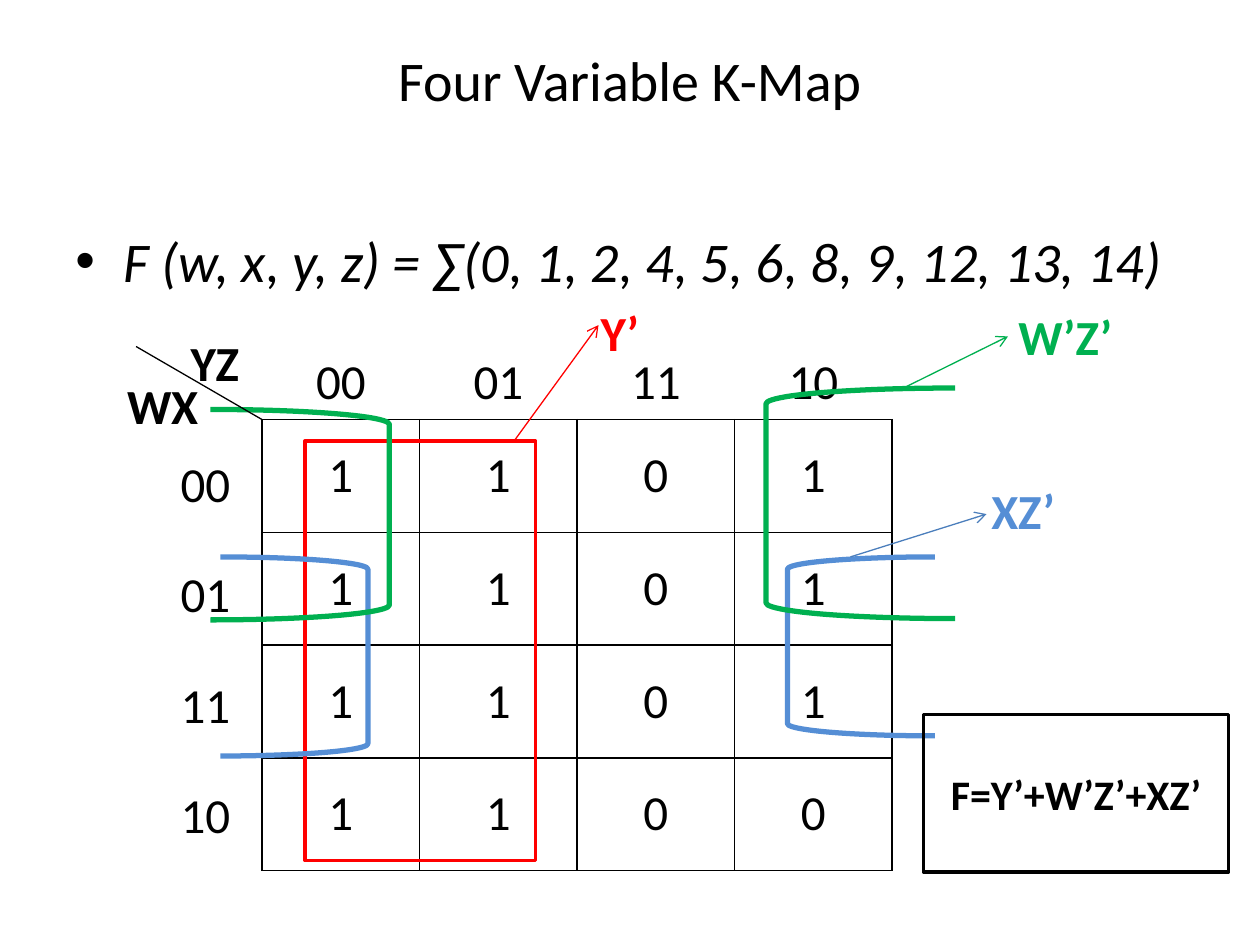
from lxml.etree import SubElement
from pptx import Presentation
from pptx.dml.color import RGBColor
from pptx.enum.shapes import MSO_CONNECTOR, MSO_SHAPE as SHAPE
from pptx.enum.text import MSO_ANCHOR as ANCHOR, PP_ALIGN as ALIGN
from pptx.oxml.ns import qn
from pptx.util import Inches, Pt

BLACK, RED, GREEN, BLUE = "000000", "FF0000", "00B050", "558ED5"
NO_STYLE = "{2D5ABB26-0587-4C30-8999-92F81FD0307C}"
GRAY_CODE = [0b00, 0b01, 0b11, 0b10]
MINTERMS = [0, 1, 2, 4, 5, 6, 8, 9, 12, 13, 14]


def paint(color_format, color):
    color_format.rgb = RGBColor.from_string(color)


def write(frame, text, color=BLACK, align=ALIGN.CENTER, **font_values):
    """Fill the frame's first paragraph; font_values override the 28 pt default."""
    frame.word_wrap = True
    paragraph = frame.paragraphs[0]
    paragraph.text = text
    paragraph.alignment = align
    for name, value in ({"name": "Calibri", "size": Pt(28)} | font_values).items():
        setattr(paragraph.font, name, value)
    paint(paragraph.font.color, color)


prs = Presentation()
prs.slide_width, prs.slide_height = Inches(10), Inches(7.5)
slide = prs.slides.add_slide(prs.slide_layouts[6])
shapes = slide.shapes

# Title and function
title = shapes.add_textbox(Inches(0.5), Inches(0), Inches(9), Inches(1.25)).text_frame
title.vertical_anchor = ANCHOR.MIDDLE
write(title, "Four Variable K-Map", size=Pt(32))

function = shapes.add_textbox(Inches(0.5), Inches(1.75), Inches(9), Inches(0.75)).text_frame
bullet_props = function.paragraphs[0]._p.get_or_add_pPr()
bullet_props.set("marL", str(Inches(0.38)))
bullet_props.set("indent", str(-Inches(0.38)))
SubElement(bullet_props, qn("a:buFont"), typeface="Arial")
SubElement(bullet_props, qn("a:buChar"), char="•")
minterm_list = ", ".join(str(minterm) for minterm in MINTERMS)
write(function, f"F (w, x, y, z) = ∑({minterm_list})", align=ALIGN.LEFT,
      size=Pt(32), italic=True)

# Map cells, column codes and row codes
map_values = [[str(int(4 * wx + yz in MINTERMS)) for yz in GRAY_CODE] for wx in GRAY_CODE]
codes = [f"{code:02b}" for code in GRAY_CODE]
tables = [
    (map_values, 2.08, 3.33, 5, 3.58, ANCHOR.MIDDLE, True),
    ([codes], 2.08, 2.75, 5, 0.57, ANCHOR.TOP, False),
    ([[code] for code in codes], 1.17, 3.42, 0.92, 3.5, ANCHOR.MIDDLE, False),
]
for rows, left, top, width, height, anchor, bordered in tables:
    table_frame = shapes.add_table(len(rows), len(rows[0]), Inches(left), Inches(top),
                                   Inches(width), Inches(height))
    table = table_frame.table
    table.first_row = table.horz_banding = False
    table._tbl.tblPr.find(qn("a:tableStyleId")).text = NO_STYLE
    for r, row in enumerate(rows):
        for c, text in enumerate(row):
            cell = table.cell(r, c)
            cell.vertical_anchor = anchor
            if bordered:
                for side in ("a:lnL", "a:lnR", "a:lnT", "a:lnB"):
                    border = SubElement(cell._tc.get_or_add_tcPr(), qn(side), w=str(Pt(1)))
                    border_fill = SubElement(border, qn("a:solidFill"))
                    SubElement(border_fill, qn("a:srgbClr"), val=BLACK)
            cell.fill.background()
            write(cell.text_frame, text)

# Groups of ones, and the result box
outlines = [
    (SHAPE.RECTANGLE, 2.42, 3.5, 1.83, 3.33, RED, 2, ""),
    (SHAPE.LEFT_BRACKET, 6.25, 4.42, 1.17, 1.42, BLUE, 3, ""),
    (SHAPE.RIGHT_BRACKET, 1.75, 4.42, 1.17, 1.58, BLUE, 3, ""),
    (SHAPE.LEFT_BRACKET, 6.08, 3.08, 1.5, 1.83, GREEN, 3, ""),
    (SHAPE.RIGHT_BRACKET, 1.67, 3.25, 1.42, 1.67, GREEN, 3, ""),
    (SHAPE.RECTANGLE, 7.33, 5.67, 2.42, 1.25, BLACK, 2, "F=Y’+W’Z’+XZ’"),
]
for kind, left, top, width, height, color, weight, text in outlines:
    outline = shapes.add_shape(kind, Inches(left), Inches(top), Inches(width), Inches(height))
    outline.shadow.inherit = False
    outline.fill.background()
    paint(outline.line.color, color)
    outline.line.width = Pt(weight)
    if text:
        outline.text_frame.vertical_anchor = ANCHOR.MIDDLE
        write(outline.text_frame, text, size=Pt(24), bold=True)

# Corner diagonal and arrows to the terms
lines = [
    (2.08, 3.33, 1.08, 2.75, BLACK, False),
    (7.17, 3.08, 8, 2.67, GREEN, True),
    (6.75, 4.42, 7.83, 4.08, "4B7EBC", True),
    (4.08, 3.5, 4.75, 2.58, RED, True),
]
for x1, y1, x2, y2, color, has_arrow in lines:
    line = shapes.add_connector(MSO_CONNECTOR.STRAIGHT, Inches(x1), Inches(y1),
                                Inches(x2), Inches(y2))
    paint(line.line.color, color)
    line.line.width = Pt(0.75)
    if has_arrow:
        SubElement(line.line._get_or_add_ln(), qn("a:tailEnd"), type="arrow")
    SubElement(line._element.spPr, qn("a:effectLst"))

# Axis names and product terms
labels = [
    ("YZ", 1.33, 2.58, 0.75, 0.58, BLACK),
    ("WX", 0.75, 2.92, 1.08, 0.58, BLACK),
    ("W’Z’", 7.83, 2.33, 1.25, 0.67, GREEN),
    ("Y’", 4.42, 2.42, 1, 0.42, RED),
    ("XZ’", 7.58, 3.67, 1.08, 0.75, BLUE),
]
for text, left, top, width, height, color in labels:
    label = shapes.add_textbox(Inches(left), Inches(top), Inches(width), Inches(height)).text_frame
    label.vertical_anchor = ANCHOR.MIDDLE
    write(label, text, color, bold=True)

prs.save("out.pptx")
